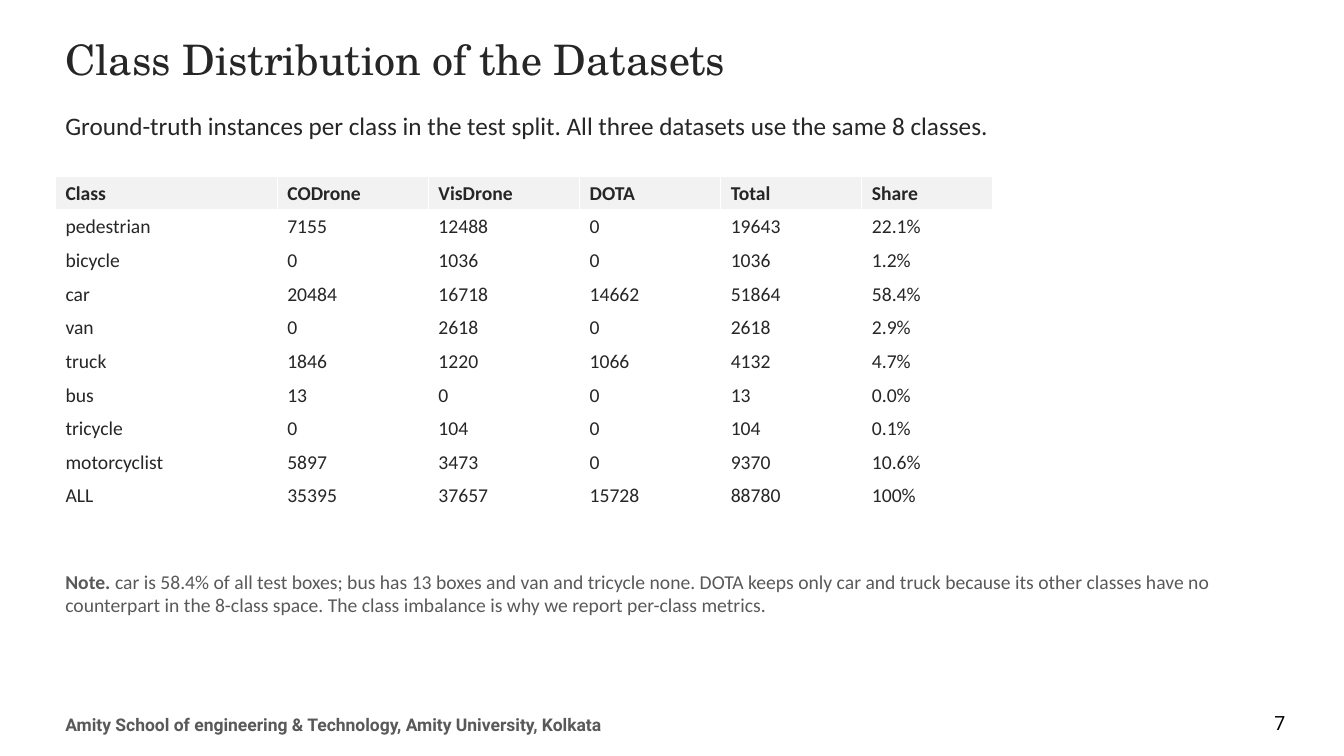
from lxml.etree import SubElement
from pptx import Presentation
from pptx.dml.color import RGBColor
from pptx.enum.text import PP_ALIGN
from pptx.oxml.ns import qn
from pptx.util import Pt

INK, GREY, BLACK, WHITE, HEADER_GREY = "262626", "595959", "000000", "FFFFFF", "F2F2F2"
LEFT, CONTENT_WIDTH = 39.6, 878.4


def style(font, name, size, color, bold=False):
    font.name = name
    font.size = Pt(size)
    font.color.rgb = RGBColor.from_string(color)
    font.bold = bold


def add_text(left, top, width, height, text):
    """Add a wrapping text box and return its only paragraph."""
    frame = slide.shapes.add_textbox(Pt(left), Pt(top), Pt(width), Pt(height)).text_frame
    frame.word_wrap = True
    frame.text = text
    return frame.paragraphs[0]


prs = Presentation()
prs.slide_width, prs.slide_height = Pt(960), Pt(540)
slide = prs.slides.add_slide(prs.slide_layouts[6])

title = add_text(LEFT, 20.16, CONTENT_WIDTH, 50.4, "Class Distribution of the Datasets")
style(title.runs[0].font, "TeX Gyre Schola", 30, INK)

footer = add_text(LEFT, 506.16, 576, 23.04,
                  "Amity School of engineering & Technology, Amity University, Kolkata")
style(footer.runs[0].font, "Roboto", 12.5, GREY, bold=True)

page_number = add_text(889.2, 504, 36, 25.2, "7")
page_number.alignment = PP_ALIGN.RIGHT
style(page_number.runs[0].font, "Roboto", 14, BLACK)

intro = add_text(LEFT, 75.6, CONTENT_WIDTH, 36,
                 "Ground-truth instances per class in the test split. "
                 "All three datasets use the same 8 classes.")
intro.space_after = Pt(2)
style(intro.runs[0].font, "Calibri", 18, INK)

# Class counts
class_counts = [
    ("Class", "CODrone", "VisDrone", "DOTA", "Total", "Share"),
    ("pedestrian", "7155", "12488", "0", "19643", "22.1%"),
    ("bicycle", "0", "1036", "0", "1036", "1.2%"),
    ("car", "20484", "16718", "14662", "51864", "58.4%"),
    ("van", "0", "2618", "0", "2618", "2.9%"),
    ("truck", "1846", "1220", "1066", "4132", "4.7%"),
    ("bus", "13", "0", "0", "13", "0.0%"),
    ("tricycle", "0", "104", "0", "104", "0.1%"),
    ("motorcyclist", "5897", "3473", "0", "9370", "10.6%"),
    ("ALL", "35395", "37657", "15728", "88780", "100%"),
]
column_widths = [158.4, 108, 108, 100.8, 100.8, 93.6]
row_height = 23.76

table = slide.shapes.add_table(
    len(class_counts), len(column_widths), Pt(LEFT), Pt(126),
    Pt(sum(column_widths)), Pt(row_height * len(class_counts))).table
table.horz_banding = False
for column, width in zip(table.columns, column_widths):
    column.width = Pt(width)

for row_index, values in enumerate(class_counts):
    is_header = row_index == 0
    table.rows[row_index].height = Pt(row_height)
    for column_index, value in enumerate(values):
        cell = table.cell(row_index, column_index)
        cell.text_frame.text = value
        style(cell.text_frame.paragraphs[0].runs[0].font, "Calibri", 14, INK, bold=is_header)
        cell_properties = cell._tc.get_or_add_tcPr()
        for side in ("a:lnL", "a:lnR", "a:lnT", "a:lnB"):
            border = SubElement(cell_properties, qn(side), w=str(Pt(1)))
            border_fill = SubElement(border, qn("a:solidFill"))
            SubElement(border_fill, qn("a:srgbClr"), val=WHITE)
        cell.fill.solid()
        cell.fill.fore_color.rgb = RGBColor.from_string(HEADER_GREY if is_header else WHITE)

note = add_text(LEFT, 403.2, CONTENT_WIDTH, 86.4, "Note. ")
note.add_run().text = (
    "car is 58.4% of all test boxes; bus has 13 boxes and van and tricycle none. "
    "DOTA keeps only car and truck because its other classes have no counterpart "
    "in the 8-class space. The class imbalance is why we report per-class metrics.")
note.space_after = Pt(2)
for run, bold in zip(note.runs, (True, False)):
    style(run.font, "Calibri", 14, GREY, bold)

prs.save("out.pptx")
